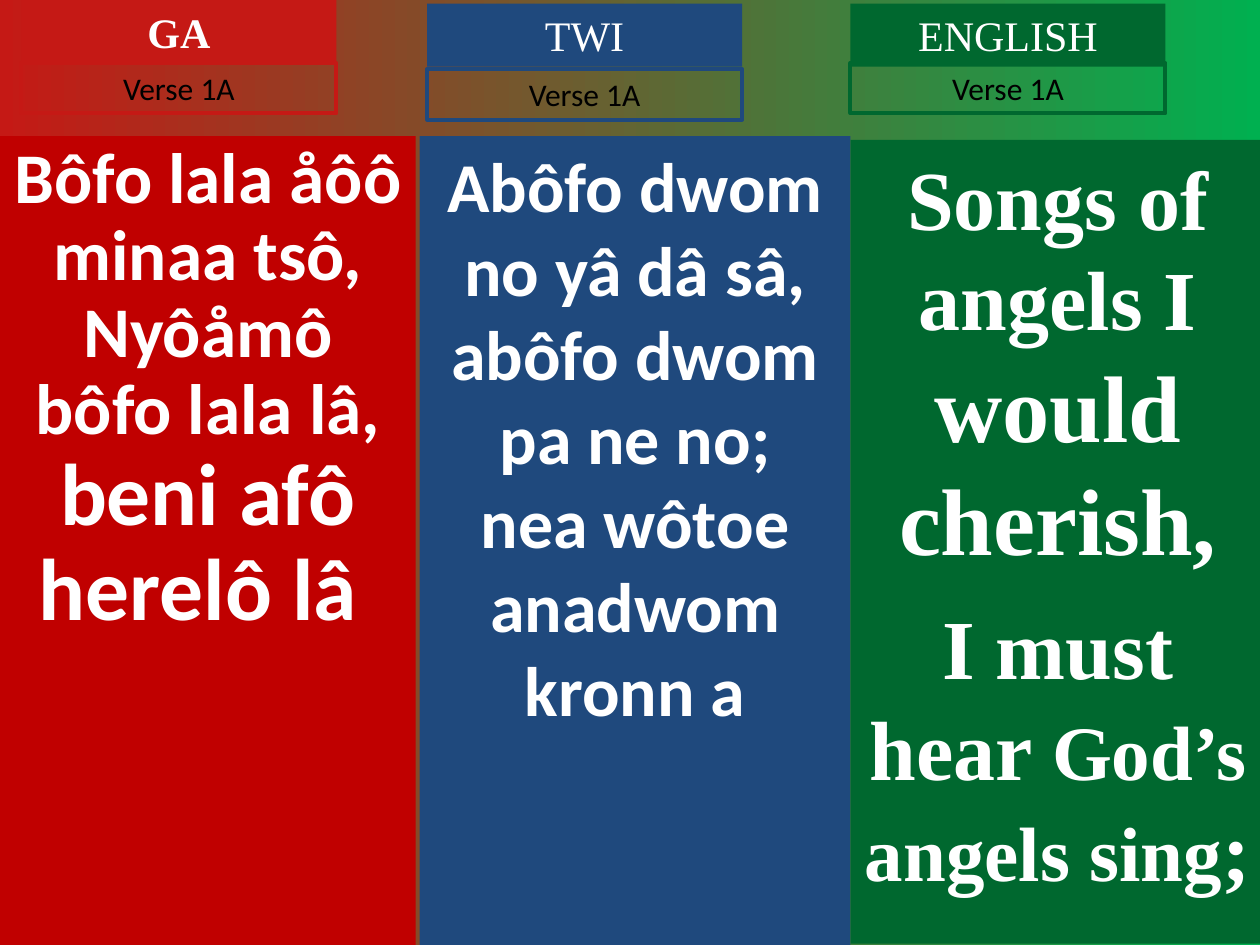
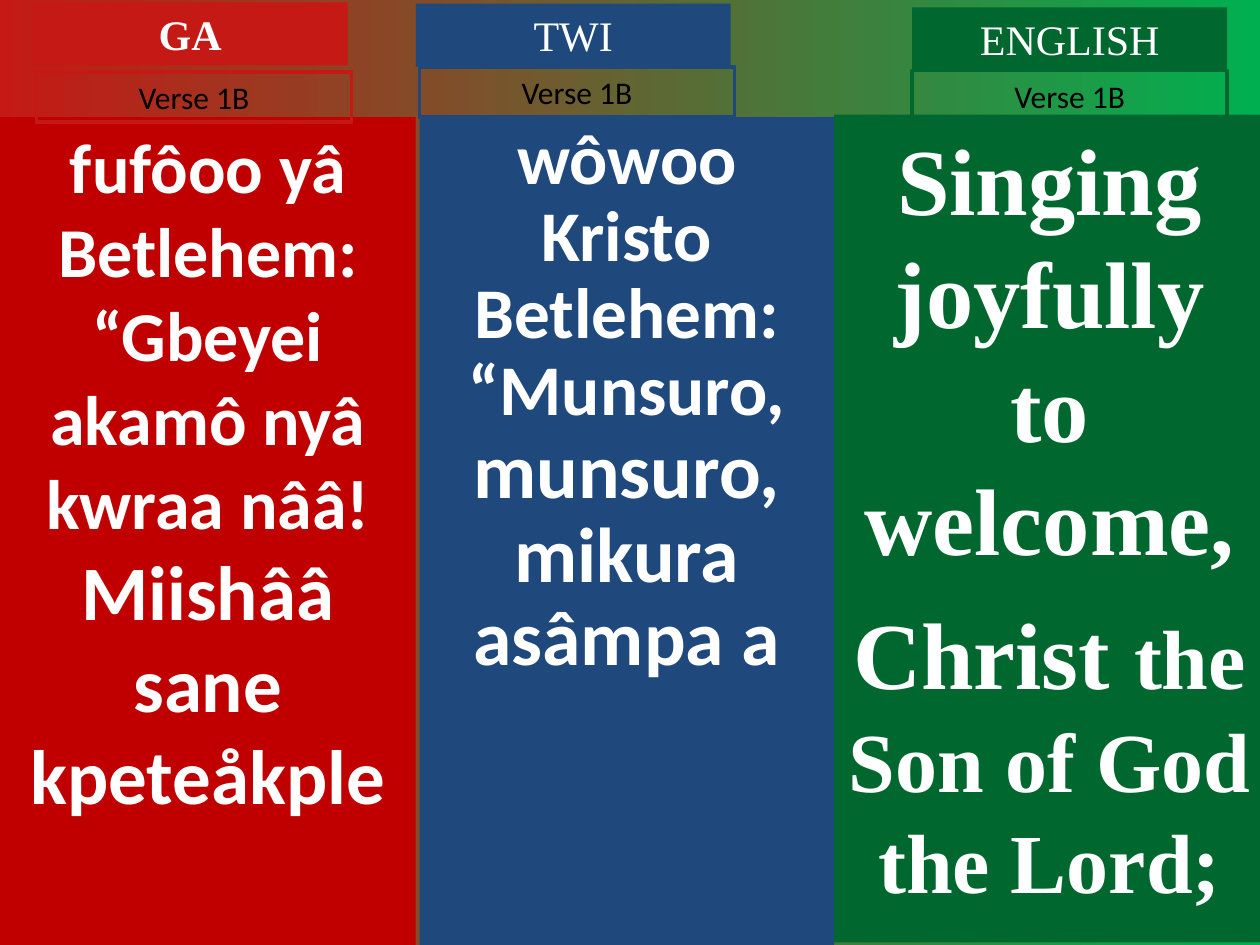
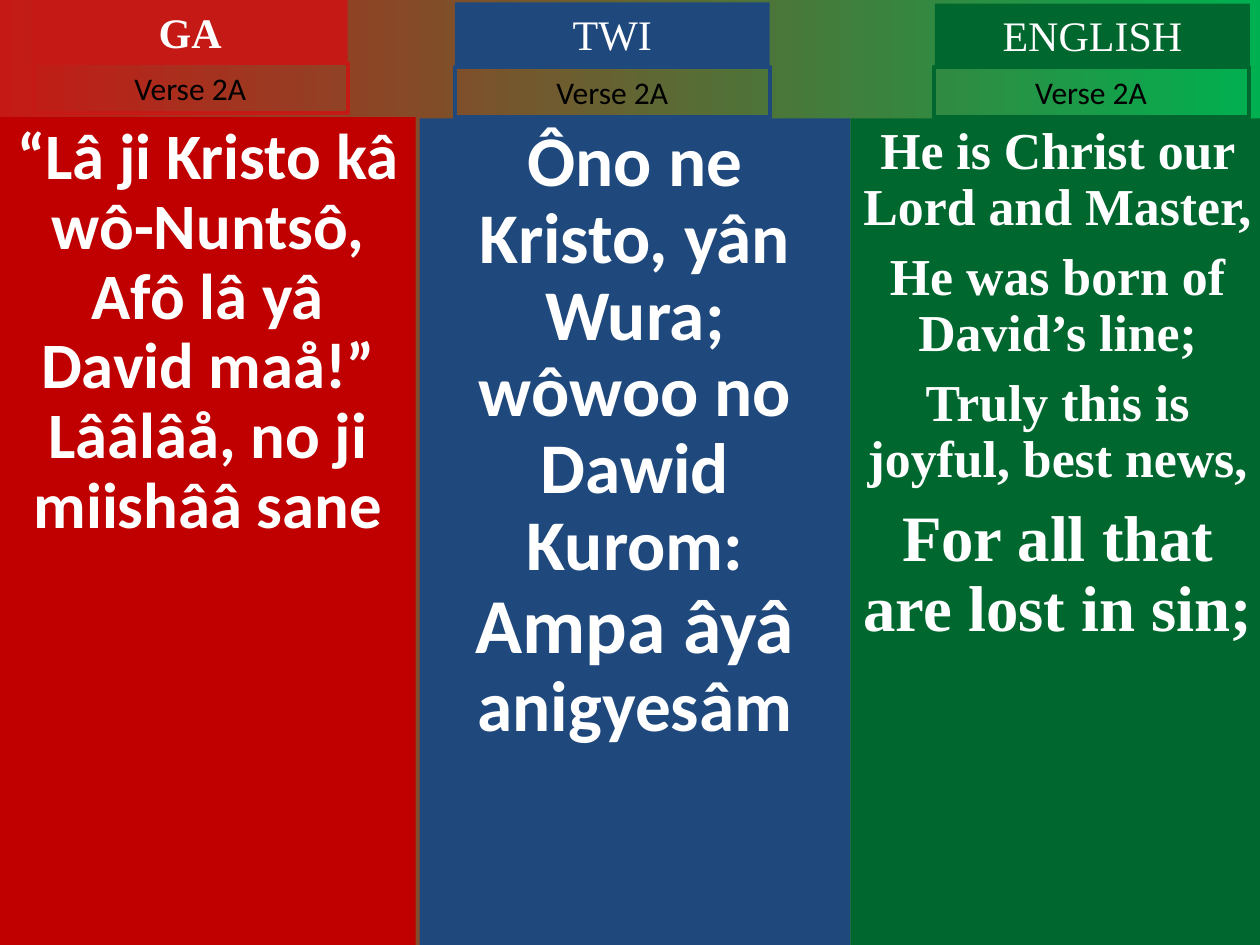
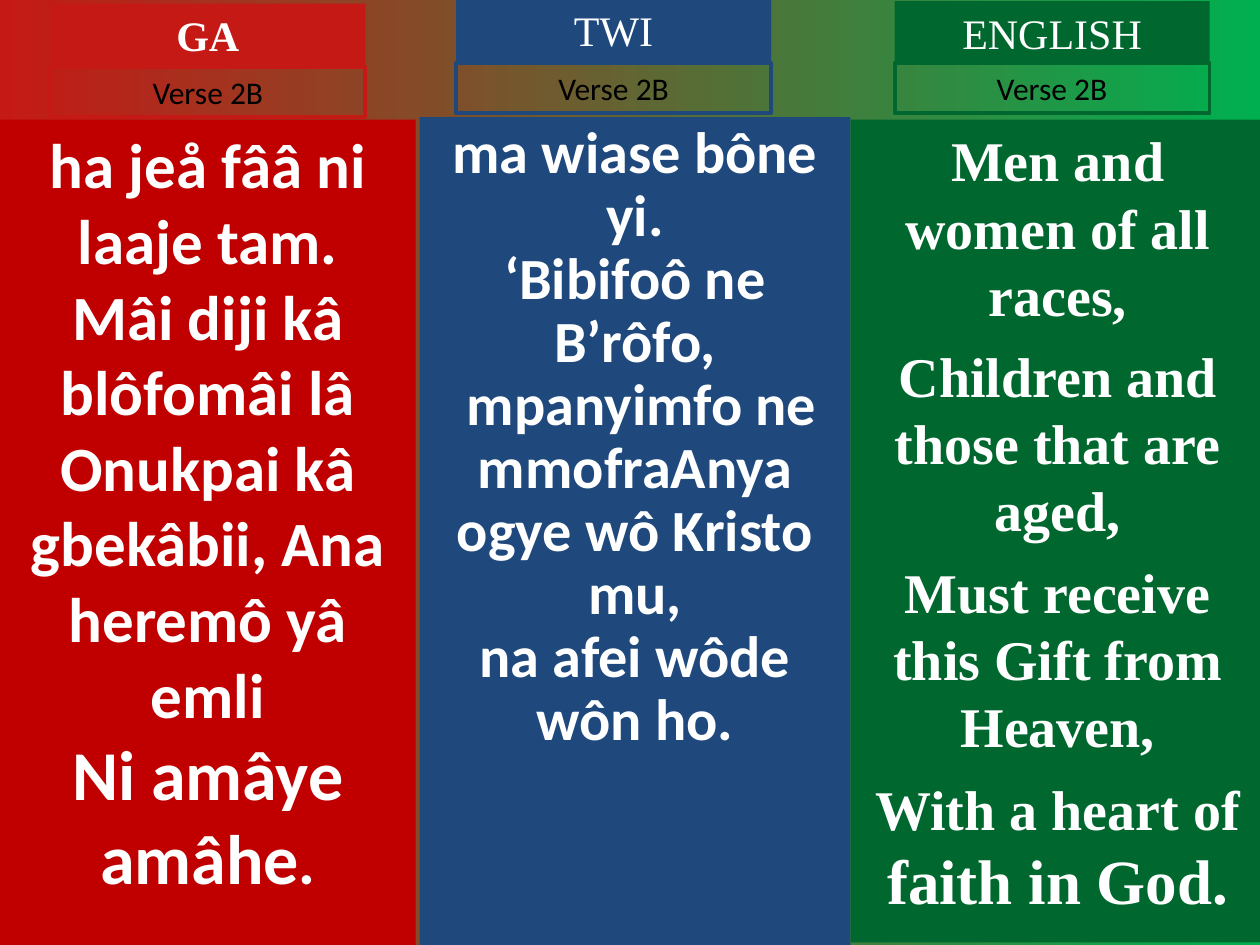
"""Build four trilingual hymn slides with Ga, Twi and English columns."""
from dataclasses import dataclass
from typing import NamedTuple, Optional

import pptx
import pptx.dml.color
import pptx.enum.shapes
import pptx.enum.text
import pptx.util


@dataclass(frozen=True)
class Theme:
    red: str = "C51915"
    dark_red: str = "C00000"
    blue: str = "1F497D"
    green: str = "00682F"
    bright_green: str = "00B050"
    white: str = "FFFFFF"
    black: str = "000000"
    sans: str = "Calibri"
    serif: str = "Times New Roman"
    heading_size: float = 24
    label_size: float = 18
    outline: float = 2.25


class Phrase(NamedTuple):
    text: str
    size: float


class Line(NamedTuple):
    phrases: tuple[Phrase, ...]
    before: float = 0


class Language(NamedTuple):
    title: str
    accent: str
    panel: str
    font: str
    bold_title: bool = False


class Box(NamedTuple):
    left: float
    top: float
    width: float
    height: float


class Lyrics(NamedTuple):
    top: float
    heading: tuple[float, float]
    label: tuple[float, float]
    lines: tuple[Line, ...]
    spacing: Optional[float] = None
    bottom: float = 75


class Stanza(NamedTuple):
    verse: str
    english_left: float
    columns: tuple[Lyrics, Lyrics, Lyrics]


THEME = Theme()
WIDTH, HEIGHT = pptx.util.Inches(10), pptx.util.Inches(7.5)
COLUMN, ROW = WIDTH / 100, HEIGHT / 75
GA_RIGHT, TWI_LEFT, ENGLISH_RIGHT = 33, 33.3, 100.4
TAB_WIDTH, HEADING_HEIGHT, LABEL_HEIGHT = 25, 5, 4

LANGUAGES = (
    Language("GA", THEME.red, THEME.dark_red, THEME.sans, True),
    Language("TWI", THEME.blue, THEME.blue, THEME.sans),
    Language("ENGLISH", THEME.green, THEME.green, THEME.serif),
)


def line(*phrases: tuple[str, float], before: float = 0) -> Line:
    return Line(tuple(Phrase(*phrase) for phrase in phrases), before)


def lines(size: float, *texts: str, before: float = 0) -> tuple[Line, ...]:
    return tuple(line((text, size), before=before if index else 0)
                 for index, text in enumerate(texts))


STANZAS = (
    Stanza("Verse 1A", 67.5, (
        Lyrics(10.8, (1.7, 0), (1.7, 5), (
            *lines(40.7, "Bôfo lala åôô minaa tsô,", "Nyôåmô bôfo lala lâ,"),
            line(("beni afô herelô lâ ", 50))), 0.9),
        Lyrics(10.8, (33.9, 0.3), (33.9, 5.5), lines(
            40, "Abôfo dwom no yâ dâ sâ,", "abôfo dwom pa ne no;",
            "nea wôtoe anadwom kronn a")),
        Lyrics(11.1, (67.5, 0.3), (67.5, 5), (
            line(("Songs of angels I ", 48), ("would cherish,", 54)),
            line(("I must hear ", 48), ("God’s angels sing", 44), (";", 48),
                 before=12)), bottom=74.9),
    )),
    Stanza("Verse 1B", 66.2, (
        Lyrics(9.3, (2.6, 0.2), (2.9, 5.7), (
            *lines(40, "fufôoo yâ Betlehem:", "“Gbeyei akamô nyâ kwraa nââ!"),
            line(("Miishââ sane kpeteåkple", 44)))),
        Lyrics(9.3, (33, 0.3), (33.3, 5.3), (
            line(("wôwoo Kristo Betlehem:", 40.7)),
            line(("“Munsuro, ", 40.7), ("munsuro,", 44.4)),
            line(("mikura asâmpa a", 44.4))), 0.9),
        Lyrics(9.1, (72.4, 0.6), (72.4, 5.6), (
            line(("Singing joyfully to welcome,", 54)),
            line(("Christ ", 54), ("the Son of God the Lord;", 48),
                 before=12)), bottom=74.8),
    )),
    Stanza("Verse 2A", 67.5, (
        Lyrics(9.3, (2.6, 0), (2.6, 5), lines(
            37, "“Lâ ji Kristo kâ wô-Nuntsô,", "Afô lâ yâ David maå!”",
            "Lââlâå, no ji miishââ sane"), 0.9),
        Lyrics(9.4, (36.1, 0.2), (36.1, 5.3), (
            line(("Ôno ne Kristo, yân Wura; wôwoo no Dawid Kurom:", 40.7)),
            line(("Ampa âyâ ", 44.4), ("anigyesâm", 40.7))), 0.9),
        Lyrics(9.4, (74.2, 0.3), (74.1, 5.3), (
            *lines(29.6, "He is Christ our Lord and Master,",
                   "He was born of David’s line;",
                   "Truly this is joyful, best news,", before=8),
            line(("For all that are lost in sin;", 37), before=10)),
            0.9, bottom=75.2),
    )),
    Stanza("Verse 2B", 67.5, (
        Lyrics(9.5, (4, 0.3), (4, 5.3), (
            *lines(36, "ha jeå fââ ni laaje tam.", "Mâi diji kâ blôfomâi lâ",
                   "Onukpai kâ gbekâbii, Ana heremô yâ emli"),
            line(("Ni amâye amâhe", 40), (".", 36)))),
        Lyrics(9.3, (36.2, -0.1), (36.2, 5), lines(
            33.3, "ma wiase bône yi.", "‘Bibifoô ne B’rôfo,",
            " mpanyimfo ne mmofraAnya ogye wô Kristo mu,",
            "na afei wôde wôn ho."), 0.9),
        Lyrics(9.5, (71, 0.1), (71, 5), (
            *lines(32, "Men and women of all races,",
                   "Children and those that are aged,",
                   "Must receive this Gift from Heaven,", before=8),
            line(("With a heart of ", 32), ("faith in God.", 36), before=9)),
            bottom=74.8),
    )),
)


def rgb(code: str) -> pptx.dml.color.RGBColor:
    return pptx.dml.color.RGBColor.from_string(code)


def add_box(slide, box: Box, fill: Optional[str] = None,
            outline: Optional[str] = None, grow: bool = False):
    rectangle = slide.shapes.add_shape(
        pptx.enum.shapes.MSO_SHAPE.RECTANGLE,
        round(box.left * COLUMN), round(box.top * ROW),
        round(box.width * COLUMN), round(box.height * ROW))
    rectangle.shadow.inherit = False
    if fill:
        rectangle.fill.solid()
        rectangle.fill.fore_color.rgb = rgb(fill)
    else:
        rectangle.fill.background()
    if outline:
        rectangle.line.color.rgb = rgb(outline)
        rectangle.line.width = pptx.util.Pt(THEME.outline)
    else:
        rectangle.line.fill.background()
    frame = rectangle.text_frame
    frame.word_wrap = True
    frame.vertical_anchor = pptx.enum.text.MSO_ANCHOR.TOP
    if grow:
        frame.auto_size = pptx.enum.text.MSO_AUTO_SIZE.SHAPE_TO_FIT_TEXT
    return frame


def write(frame, content: tuple[Line, ...], font: str, color: str,
          bold: bool = False, spacing: Optional[float] = None) -> None:
    for index, verse_line in enumerate(content):
        paragraph = frame.add_paragraph() if index else frame.paragraphs[0]
        paragraph.alignment = pptx.enum.text.PP_ALIGN.CENTER
        if spacing:
            paragraph.line_spacing = spacing
        if verse_line.before:
            paragraph.space_before = pptx.util.Pt(verse_line.before)
        for phrase in verse_line.phrases:
            run = paragraph.add_run()
            run.text = phrase.text
            run.font.name = font
            run.font.size = pptx.util.Pt(phrase.size)
            run.font.bold = bold
            run.font.color.rgb = rgb(color)


def paint_background(slide) -> None:
    fill = slide.background.fill
    fill.gradient()
    fill.gradient_angle = 0
    for stop, position, color in zip(fill.gradient_stops, (0, 1),
                                     (THEME.red, THEME.bright_green)):
        stop.position = position
        stop.color.rgb = rgb(color)


def add_column(slide, language: Language, lyrics: Lyrics, verse: str,
               left: float, right: float) -> None:
    panel = add_box(slide, Box(left, lyrics.top, right - left,
                               lyrics.bottom - lyrics.top), language.panel)
    write(panel, lyrics.lines, language.font, THEME.white, True, lyrics.spacing)
    heading = add_box(slide, Box(*lyrics.heading, TAB_WIDTH, HEADING_HEIGHT),
                      fill=language.accent, grow=True)
    write(heading, lines(THEME.heading_size, language.title), THEME.serif,
          THEME.white, language.bold_title)
    label = add_box(slide, Box(*lyrics.label, TAB_WIDTH, LABEL_HEIGHT),
                    outline=language.accent, grow=True)
    write(label, lines(THEME.label_size, verse), THEME.sans, THEME.black)


def main() -> None:
    deck = pptx.Presentation()
    deck.slide_width, deck.slide_height = WIDTH, HEIGHT
    for stanza in STANZAS:
        slide = deck.slides.add_slide(deck.slide_layouts[6])
        paint_background(slide)
        edges = ((0, GA_RIGHT), (TWI_LEFT, stanza.english_left),
                 (stanza.english_left, ENGLISH_RIGHT))
        for language, lyrics, (left, right) in zip(LANGUAGES, stanza.columns, edges):
            add_column(slide, language, lyrics, stanza.verse, left, right)
    deck.save("out.pptx")


if __name__ == "__main__":
    main()
